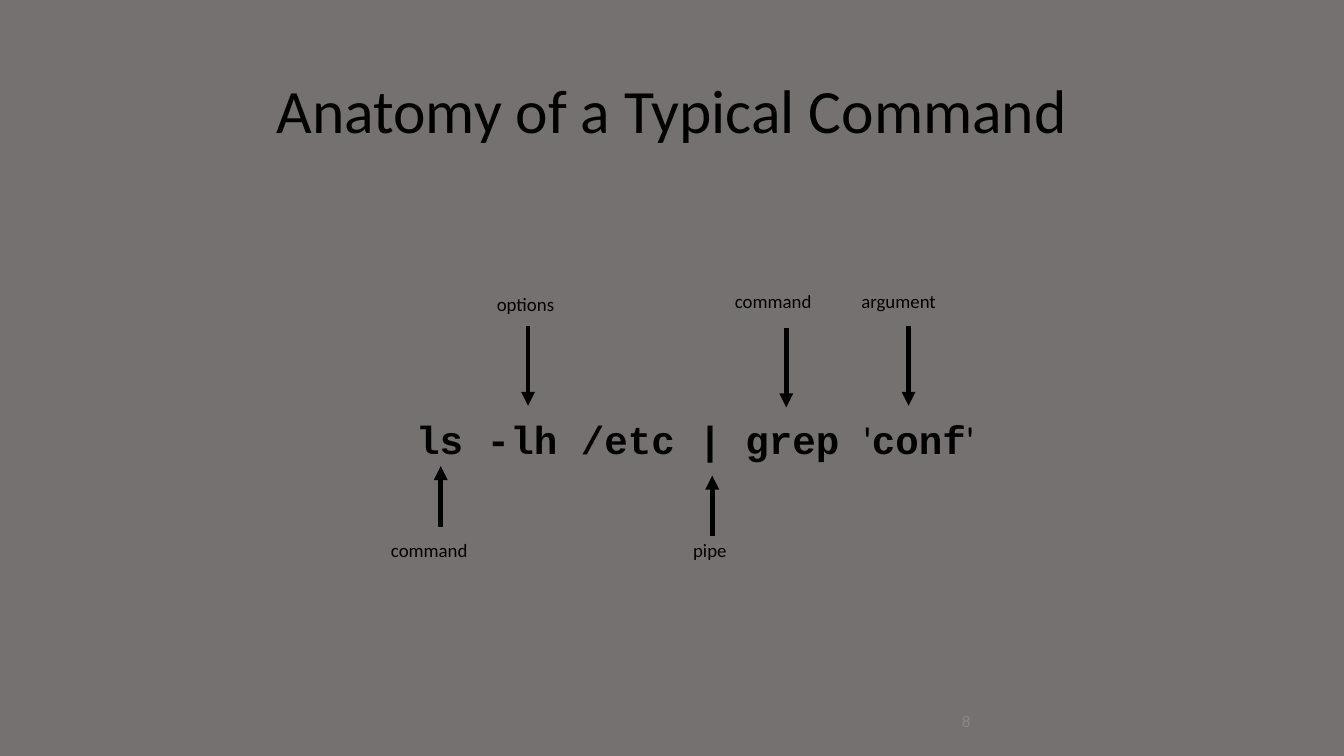
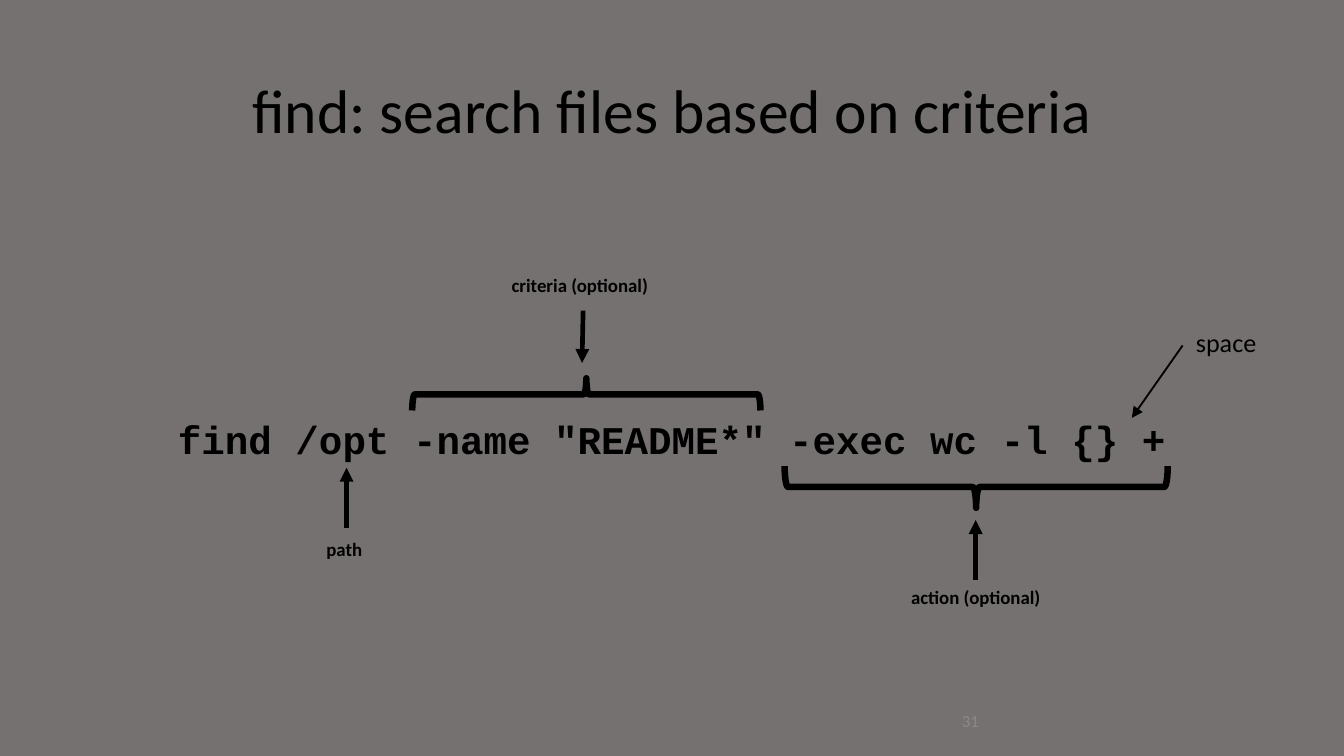
from lxml import etree
from pptx import Presentation
from pptx.dml.color import RGBColor
from pptx.enum.shapes import MSO_CONNECTOR as Connector, MSO_SHAPE as Shape
from pptx.enum.text import MSO_ANCHOR as Anchor, MSO_AUTO_SIZE as AutoSize, PP_ALIGN as Align
from pptx.oxml.ns import qn
from pptx.util import Cm, Pt

BACKGROUND, INK, MUTED = "767171", "000000", "898989"
BODY_FONT, CODE_FONT = "Calibri", "Courier New"
CONTENT_LEFT, CONTENT_WIDTH = 1.75, 21.9


def color(hex_string):
    return RGBColor.from_string(hex_string)


class Deck:
    """Holds the shared style and the slide being drawn."""

    def __init__(self):
        self.presentation = Presentation()
        self.presentation.slide_width = Cm(25.4)
        self.presentation.slide_height = Cm(14.29)
        background = self.presentation.slide_master.background.fill
        background.solid()
        background.fore_color.rgb = color(BACKGROUND)
        self.slide = None

    def format_run(self, run, size, font=BODY_FONT, bold=False, ink=INK):
        run.font.size = Pt(size)
        run.font.name = font
        run.font.bold = bold
        run.font.color.rgb = color(ink)

    def new_slide(self, title, number):
        layout = self.presentation.slide_layouts.get_by_name("Title Only")
        self.slide = self.presentation.slides.add_slide(layout)
        shape = self.slide.shapes.title
        shape.left, shape.top = Cm(CONTENT_LEFT), Cm(0.76)
        shape.width, shape.height = Cm(CONTENT_WIDTH), Cm(2.77)
        text_frame = shape.text_frame
        text_frame.text = title
        text_frame.auto_size = AutoSize.NONE
        text_frame.vertical_anchor = Anchor.MIDDLE
        paragraph = text_frame.paragraphs[0]
        paragraph.alignment = Align.CENTER
        paragraph.line_spacing = 0.9
        self.format_run(paragraph.runs[0], 33)
        # Slide number
        frame = self.text_box(17.93, 13.24, 5.72, 0.76, Align.RIGHT)
        frame.text = str(number)
        self.format_run(frame.paragraphs[0].runs[0], 9, ink=MUTED)

    def text_box(self, left, top, width, height, alignment):
        shape = self.slide.shapes.add_textbox(Cm(left), Cm(top), Cm(width), Cm(height))
        text_frame = shape.text_frame
        text_frame.word_wrap = True
        text_frame.vertical_anchor = Anchor.MIDDLE
        text_frame.paragraphs[0].alignment = alignment
        return text_frame

    def command_line(self, *pieces):
        """Each piece is its text and its font; code is bold."""
        frame = self.text_box(CONTENT_LEFT, 3.81, CONTENT_WIDTH, 9.07, Align.CENTER)
        paragraph = frame.paragraphs[0]
        paragraph.line_spacing = 0.9
        for text, font in pieces:
            run = paragraph.add_run()
            run.text = text
            self.format_run(run, 21, font, bold=font == CODE_FONT)

    def label(self, text, left, top, width, height=0.69, size=10.1, bold=False):
        frame = self.text_box(left, top, width, height, Align.LEFT)
        frame.word_wrap = False
        frame.auto_size = AutoSize.SHAPE_TO_FIT_TEXT
        frame.vertical_anchor = Anchor.TOP
        frame.text = text
        self.format_run(frame.paragraphs[0].runs[0], size, bold=bold)

    def arrow(self, start_x, start_y, end_x, end_y, weight=2.5):
        connector = self.slide.shapes.add_connector(
            Connector.STRAIGHT, Cm(start_x), Cm(start_y), Cm(end_x), Cm(end_y))
        connector.line.color.rgb = color(INK)
        connector.line.width = Pt(weight)
        properties = connector.element.spPr
        line = properties.find(qn("a:ln"))
        etree.SubElement(line, qn("a:tailEnd"), type="triangle")
        etree.SubElement(properties, qn("a:effectLst"))

    def brace(self, left, top, width, height, rotation):
        """Horizontal brace: 90 points up, 270 points down."""
        center_x, center_y = left + width / 2, top + height / 2
        shape = self.slide.shapes.add_shape(
            Shape.LEFT_BRACE, Cm(center_x - height / 2), Cm(center_y - width / 2),
            Cm(height), Cm(width))
        shape.rotation = rotation
        shape.shadow.inherit = False
        shape.fill.background()
        shape.line.color.rgb = color(INK)
        shape.line.width = Pt(3.5)


def build_anatomy(deck):
    deck.new_slide("Anatomy of a Typical Command", 8)
    deck.command_line(("  ls -lh /etc | grep ", CODE_FONT), ("'", BODY_FONT),
                      ("conf", CODE_FONT), ("'", BODY_FONT))
    # Label, its left, top and width, then the arrow's x, start and end
    parts = [
        ("command", 7.14, 10.06, 1.98, 8.33, 9.96, 8.81),
        ("options", 9.14, 5.41, 1.63, 9.98, 6.17, 7.67),
        ("pipe", 12.85, 10.06, 1.17, 13.46, 10.13, 8.99),
        ("command", 13.64, 5.36, 1.98, 14.86, 6.2, 7.7),
        ("argument", 16.03, 5.36, 1.96, 17.17, 6.17, 7.67),
    ]
    for text, left, top, width, x, start, end in parts:
        deck.arrow(x, start, x, end)
        deck.label(text, left, top, width)


def build_find(deck):
    deck.new_slide("find: search files based on criteria", 31)
    deck.command_line(('find /opt -name "README*" -exec wc -l {} +', CODE_FONT))
    # Path
    deck.label("path", 5.92, 10.03, 1.19, bold=True)
    deck.arrow(6.55, 9.98, 6.55, 8.84)
    # Criteria
    deck.label("criteria (optional)", 9.42, 5.05, 3.15, bold=True)
    deck.arrow(11.02, 5.87, 11, 6.86)
    deck.brace(7.79, 7.15, 6.58, 0.61, rotation=90)
    # Action
    deck.label("action (optional)", 16.97, 10.95, 3, bold=True)
    deck.arrow(18.44, 10.97, 18.44, 9.83)
    deck.brace(14.83, 8.81, 7.24, 0.79, rotation=270)
    # Space before the plus sign
    deck.label("space", 22.35, 6.05, 1.68, height=0.86, size=14)
    deck.arrow(22.35, 6.53, 21.39, 7.9, weight=1)


def main():
    deck = Deck()
    build_anatomy(deck)
    build_find(deck)
    deck.presentation.save("out.pptx")


if __name__ == "__main__":
    main()
